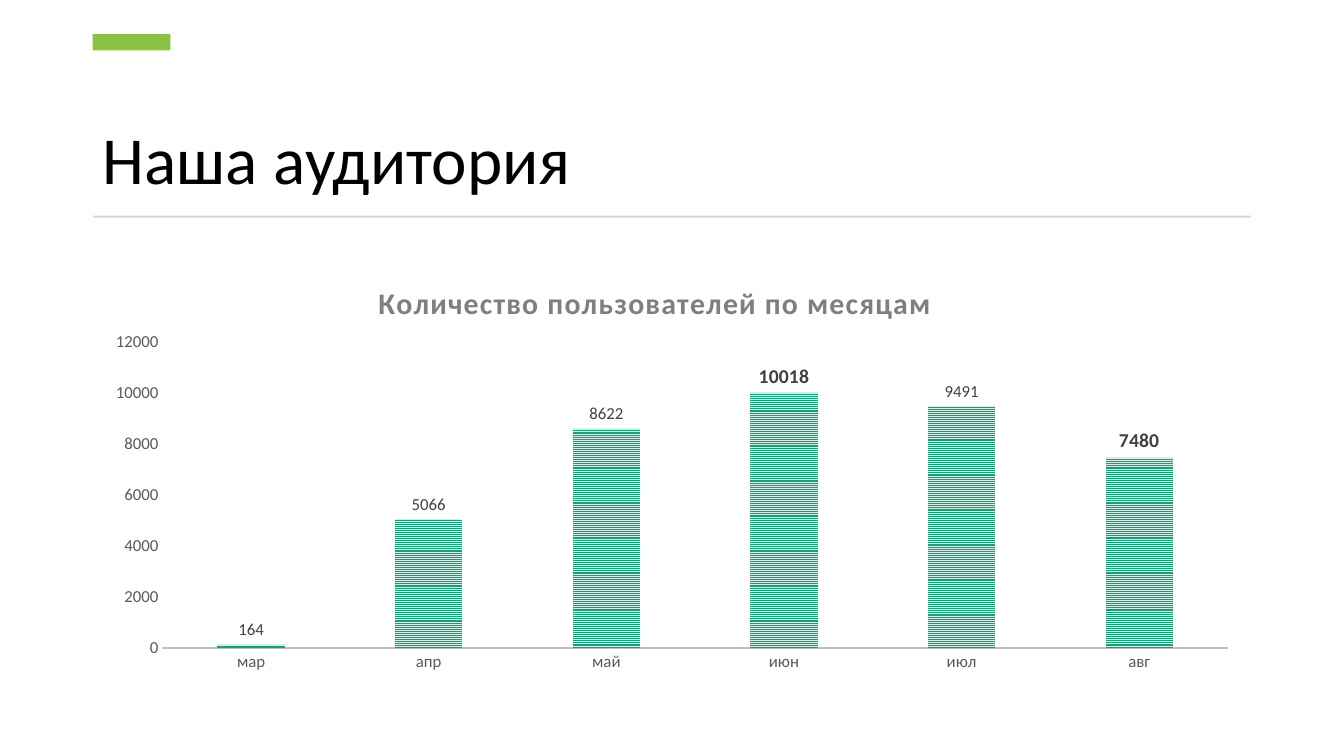
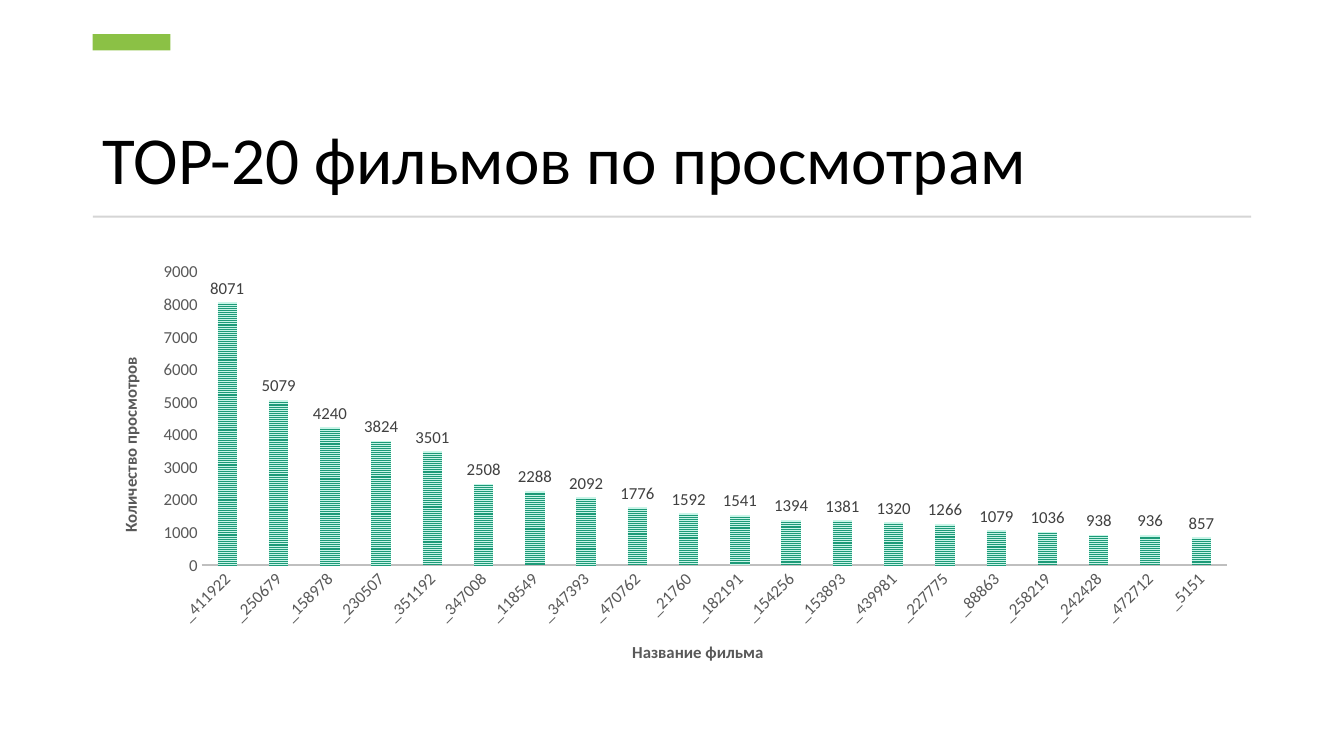
from dataclasses import dataclass

from lxml import etree
from pptx import Presentation
from pptx.chart import data as chart_data
from pptx.dml.color import RGBColor
from pptx.enum import chart as ch, dml, shapes, text
from pptx.oxml import ns
from pptx.util import Inches, Pt


@dataclass(frozen=True)
class Theme:
    face: str = "Calibri"
    ink: str = "000000"
    accent: str = "8BC145"
    rule: str = "D5D5D5"
    axis_line: str = "BFBFBF"
    axis_text: str = "595959"
    label_text: str = "404040"
    heading_text: str = "7F7F7F"
    bar_front: str = "1D9A78"
    bar_back: str = "C8F5E8"
    title_size: float = 48
    heading_size: float = 21.3
    label_size: float = 12
    strong_size: float = 14


THEME = Theme()
TITLE_BOX = (0.92, 0.75, 11.49, 1.27)
ACCENT_BOX = (0.92, 0.34, 0.77, 0.16)
RULE_BOX = (0.92, 2.14, 11.49, 0.02)
CHART_BOX = (0.92, 2.51, 11.49, 4.24)

USERS = {"мар": 164, "апр": 5066, "май": 8622,
         "июн": 10018, "июл": 9491, "авг": 7480}
VIEWS = {"_411922": 8071, "_250679": 5079, "_158978": 4240, "_230507": 3824,
         "_351192": 3501, "_347008": 2508, "_118549": 2288, "_347393": 2092,
         "_470762": 1776, "_21760": 1592, "_182191": 1541, "_154256": 1394,
         "_153893": 1381, "_439981": 1320, "_227775": 1266, "_88863": 1079,
         "_258219": 1036, "_242428": 938, "_472712": 936, "_5151": 857}


def style_font(font, color, size, bold=False):
    for key, value in {"name": THEME.face, "size": Pt(size), "bold": bold}.items():
        setattr(font, key, value)
    font.color.rgb = RGBColor.from_string(color)


def add_band(slide, box, color):
    band = slide.shapes.add_shape(shapes.MSO_SHAPE.RECTANGLE, *map(Inches, box))
    band.shadow.inherit = False
    band.fill.solid()
    band.fill.fore_color.rgb = RGBColor.from_string(color)
    band.line.fill.background()


def add_titled_slide(deck, wording):
    slide = deck.slides.add_slide(deck.slide_layouts[5])
    title = slide.shapes.title
    for key, value in zip(("left", "top", "width", "height"), TITLE_BOX):
        setattr(title, key, Inches(value))
    frame = title.text_frame
    frame.text = wording
    frame.word_wrap = True
    frame.vertical_anchor = text.MSO_ANCHOR.BOTTOM
    line = frame.paragraphs[0]
    line.alignment = text.PP_ALIGN.LEFT
    line.line_spacing = 0.9
    style_font(line.runs[0].font, THEME.ink, THEME.title_size)
    add_band(slide, ACCENT_BOX, THEME.accent)
    add_band(slide, RULE_BOX, THEME.rule)
    return slide


def set_layout(parent, index, box, place):
    for old in parent.findall(ns.qn("c:layout")):
        parent.remove(old)
    layout = etree.Element(ns.qn("c:layout"))
    parent.insert(index, layout)
    manual = etree.SubElement(layout, ns.qn("c:manualLayout"))
    settings = {"xMode": "edge", "yMode": "edge"}
    if len(place) == 4:
        settings = {"layoutTarget": "inner", **settings}
    for key, length, whole in zip("xywh", place, box[2:] * 2):
        settings[key] = str(length / whole)
    for key, value in settings.items():
        etree.SubElement(manual, ns.qn(f"c:{key}")).set("val", value)


def write_heading(title, box, wording, place, color, size, spacing=0):
    line = title.text_frame.paragraphs[0]
    run = line.add_run()
    run.text = wording
    style_font(run.font, color, size, True)
    if spacing:
        run.font._element.set("spc", str(spacing))
    set_layout(title._element, 1, box, place)


def style_axes(chart, top, step, slanted):
    names, values = chart.category_axis, chart.value_axis
    for axis in (names, values):
        axis.has_major_gridlines = False
        axis.major_tick_mark = axis.minor_tick_mark = ch.XL_TICK_MARK.NONE
        style_font(axis.tick_labels.font, THEME.axis_text, THEME.label_size)
    names.format.line.color.rgb = RGBColor.from_string(THEME.axis_line)
    names.format.line.width = Pt(1.5)
    values.format.line.fill.background()
    for key, value in {"minimum_scale": 0, "maximum_scale": top,
                       "major_unit": step}.items():
        setattr(values, key, value)
    if slanted:
        names._element.find(ns.qn("c:txPr")).find(ns.qn("a:bodyPr")).set("rot", "-2700000")


def style_bars(plot, strong):
    for key, value in {"gap_width": 164, "overlap": -22,
                       "vary_by_categories": False, "has_data_labels": True}.items():
        setattr(plot, key, value)
    labels = plot.data_labels
    labels.show_value = True
    labels.position = ch.XL_LABEL_POSITION.OUTSIDE_END
    style_font(labels.font, THEME.label_text, THEME.label_size)
    bars = plot.series[0]
    fill = bars.format.fill
    fill.patterned()
    fill.pattern = dml.MSO_PATTERN.NARROW_HORIZONTAL
    fill.fore_color.rgb = RGBColor.from_string(THEME.bar_front)
    fill.back_color.rgb = RGBColor.from_string(THEME.bar_back)
    if strong:
        own = bars.data_labels
        own.show_value = True
        own.position = ch.XL_LABEL_POSITION.OUTSIDE_END
        style_font(own.font, THEME.label_text, THEME.label_size)
    for index in strong:
        label = bars.points[index].data_label
        style_font(label.font, THEME.label_text, THEME.strong_size, True)
        label.position = ch.XL_LABEL_POSITION.OUTSIDE_END


def add_column_chart(slide, box, figures, area, top, step, strong=(), slanted=False):
    data = chart_data.CategoryChartData()
    data.categories = list(figures)
    data.add_series("Series 1", list(figures.values()))
    chart = slide.shapes.add_chart(
        ch.XL_CHART_TYPE.COLUMN_CLUSTERED, *map(Inches, box), data).chart
    style_font(chart.font, THEME.ink, 10)
    chart.has_legend = False
    chart.has_title = False
    style_axes(chart, top, step, slanted)
    style_bars(chart.plots[0], strong)
    set_layout(chart._chartSpace.chart.plotArea, 0, box, area)
    return chart


def build_audience(deck):
    slide = add_titled_slide(deck, "Наша аудитория")
    chart = add_column_chart(slide, CHART_BOX, USERS, (0.69, 0.88, 10.57, 3.04),
                             12000, 2000, strong=(3, 5))
    write_heading(chart.chart_title, CHART_BOX, "Количество пользователей по месяцам",
                  (2.78, 0.24), THEME.heading_text, THEME.heading_size, 100)


def build_top_films(deck):
    slide = add_titled_slide(deck, "TOP-20 фильмов по просмотрам")
    chart = add_column_chart(slide, CHART_BOX, VIEWS, (1.08, 0.19, 10.17, 2.91),
                             9000, 1000, slanted=True)
    for axis, wording, place in (
            (chart.category_axis, "Название фильма", (5.32, 3.82)),
            (chart.value_axis, "Количество просмотров", (0.23, 1))):
        write_heading(axis.axis_title, CHART_BOX, wording, place,
                      THEME.axis_text, THEME.label_size)
    frame = chart.value_axis.axis_title.text_frame
    frame._txBody.find(ns.qn("a:bodyPr")).set("rot", "-5400000")


def main():
    deck = Presentation()
    deck.slide_width, deck.slide_height = Inches(13.33), Inches(7.5)
    build_audience(deck)
    build_top_films(deck)
    deck.save("out.pptx")


if __name__ == "__main__":
    main()
